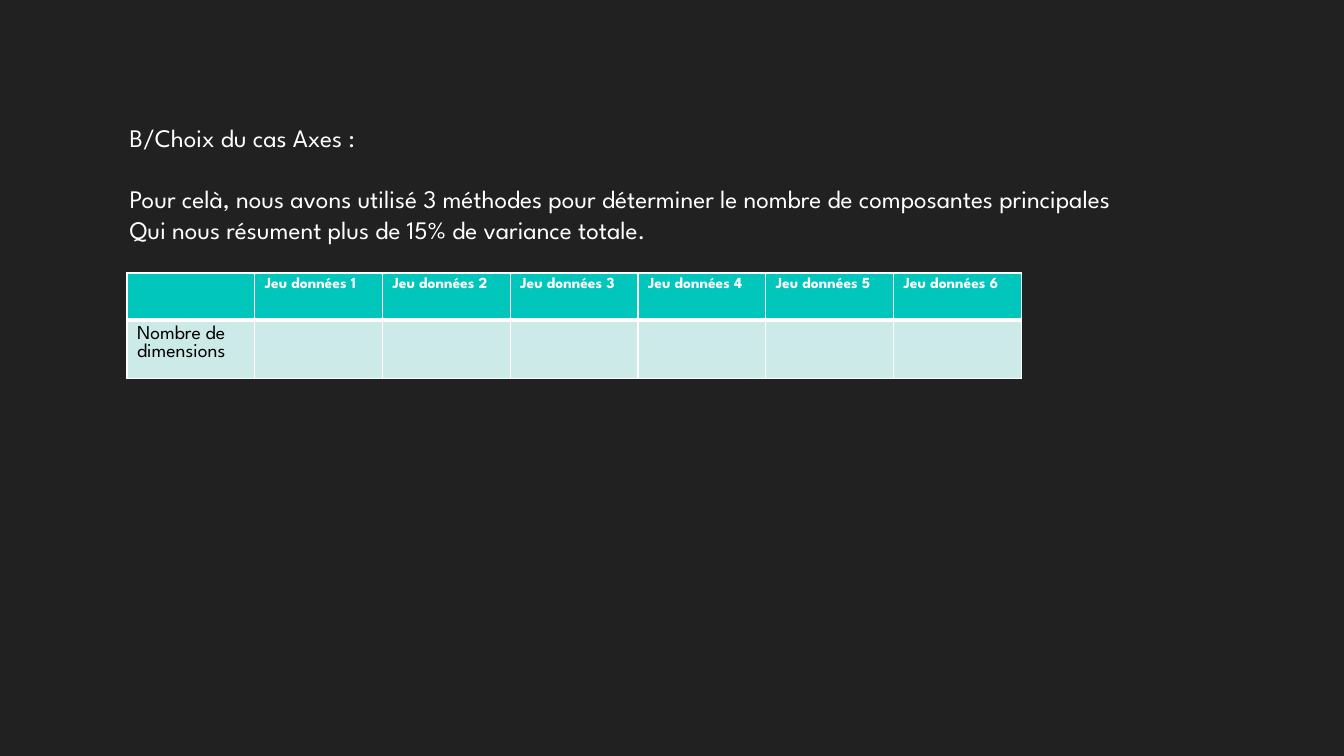
from pptx import Presentation
from pptx.dml.color import RGBColor
from pptx.enum import text
from pptx.oxml import parse_xml
from pptx.oxml.ns import nsdecls
from pptx.util import Cm, Pt

# Content: each line with the space above it in points
FONT = "League Spartan"
LINES = [
    ("B/Choix du cas Axes :", 0),
    ("Pour celà, nous avons utilisé 3 méthodes pour déterminer le nombre de composantes principales", 21.9),
    ("Qui nous résument plus de 15% de variance totale.", 0),
]
HEAD = [""] + [f"Jeu données {n}" for n in range(1, 7)]
BODY = ["Nombre de dimensions"] + [""] * 6

# Row style: labels, height, fill, font size, font colour, bold, bottom border
ROWS = [
    (HEAD, 1.19, "00C6BB", 11, "FFFFFF", True, 3),
    (BODY, 1.47, "CCEAE7", 14, "000000", False, 1),
]
COL = 3.22


def color(code):
    return RGBColor.from_string(code)


def style(par, size, code, bold=False):
    font = par.font
    font.name, font.size, font.bold = FONT, Pt(size), bold
    font.color.rgb = color(code)


def border(cell, side, width):
    line = parse_xml(
        f'<a:{side} {nsdecls("a")} w="{Pt(width)}"><a:solidFill>'
        f'<a:srgbClr val="FFFFFF"/></a:solidFill></a:{side}>')
    cell._tc.get_or_add_tcPr().append(line)


def main():
    prs = Presentation()
    prs.slide_width, prs.slide_height = Cm(33.87), Cm(19.05)
    slide = prs.slides.add_slide(prs.slide_layouts[6])
    back = slide.background.fill
    back.solid()
    back.fore_color.rgb = color("212121")

    # Introduction
    frame = slide.shapes.add_textbox(Cm(3.02), Cm(2.95), Cm(30.78), Cm(4.11)).text_frame
    frame.word_wrap = False
    frame.vertical_anchor = text.MSO_ANCHOR.TOP
    for i, (words, gap) in enumerate(LINES):
        par = frame.add_paragraph() if i else frame.paragraphs[0]
        par.text = words
        par.alignment = text.PP_ALIGN.LEFT
        par.line_spacing, par.space_before = Pt(21.9), Pt(gap)
        style(par, 18, "FFFFFF")

    # Table of dimensions
    high = sum(row[1] for row in ROWS)
    grid = slide.shapes.add_table(
        len(ROWS), len(HEAD), Cm(3.2), Cm(6.88), Cm(COL * len(HEAD)), Cm(high)).table
    for col in grid.columns:
        col.width = Cm(COL)
    for r, (labels, tall, fill, size, ink, bold, base) in enumerate(ROWS):
        grid.rows[r].height = Cm(tall)
        for c, label in enumerate(labels):
            cell = grid.cell(r, c)
            cell.text = label
            style(cell.text_frame.paragraphs[0], size, ink, bold)
            top = ROWS[r - 1][-1] if r else 1
            for side, width in (("lnL", 1), ("lnR", 1), ("lnT", top), ("lnB", base)):
                border(cell, side, width)
            cell.fill.solid()
            cell.fill.fore_color.rgb = color(fill)

    prs.save("out.pptx")


if __name__ == "__main__":
    main()
